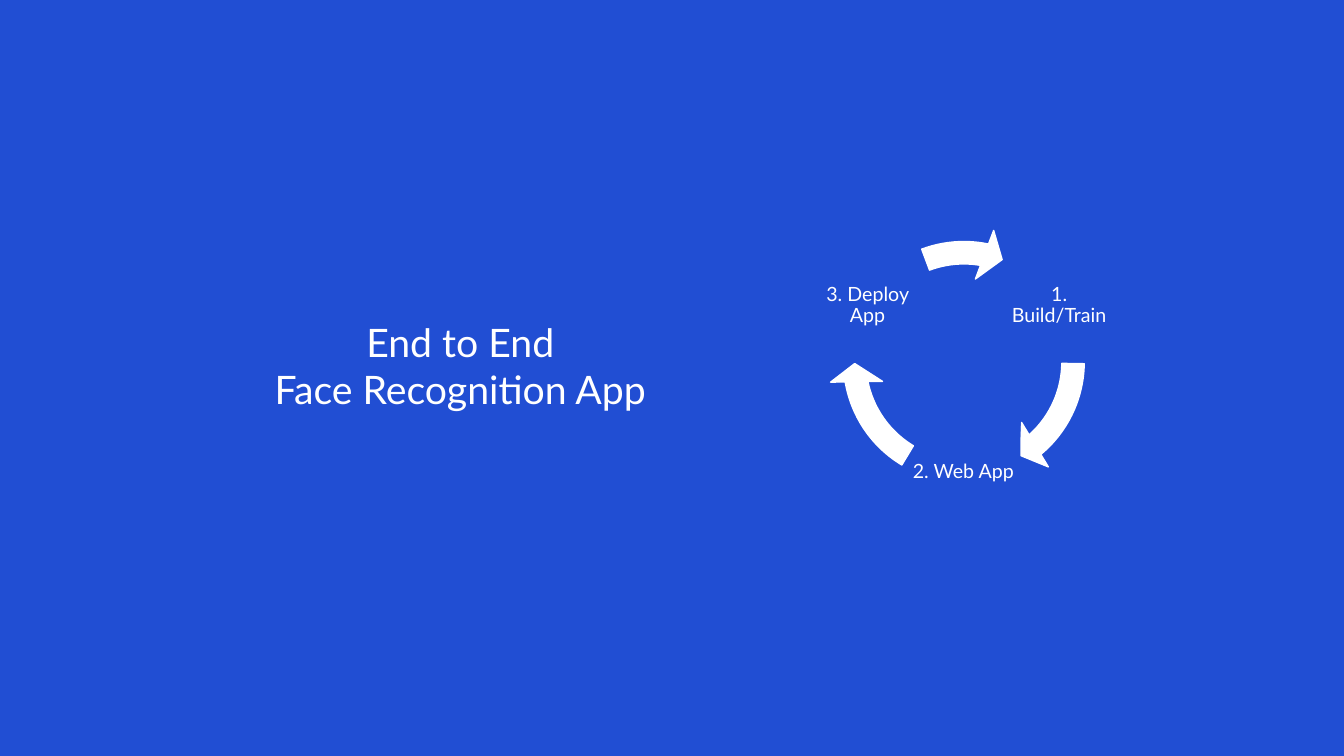
from pptx import Presentation
from pptx import util as u
from pptx.dml.color import RGBColor
from pptx.enum import shapes, text

COLORS = {"blue": "214ED3", "white": "FFFFFF"}
FONT = "Lato"
NODE_SIZE = 1.13
RING_LEFT, RING_TOP, RING_SIZE = 8.22, 2.25, 2.68
STAGES = [
    ("1. Build/Train", 9.94, 2.47, 0.89, 49.36),
    ("2. Web App", 8.99, 4.12, 121.03, 169.5),
    ("3. Deploy App", 8.04, 2.47, 249.48, 280.91),
]


def color(name):
    """Return the named palette colour."""
    return RGBColor.from_string(COLORS[name])


def format_text(frame, size):
    """Centre every paragraph and set its font."""
    for para in frame.paragraphs:
        para.alignment = text.PP_ALIGN.CENTER
        for span in para.runs:
            span.font.name = FONT
            span.font.size = u.Pt(size)
            span.font.color.rgb = color("white")


def add_title(page, wording):
    """Add the slide title as an unwrapped text box."""
    box = page.shapes.add_textbox(u.Inches(2.6), u.Inches(3.11), u.Inches(3.93), u.Inches(1.45))
    box.text_frame.text = wording
    box.text_frame.word_wrap = False
    format_text(box.text_frame, 28)


def add_node(page, label, left, top):
    """Add a square stage label that masks the ring behind it."""
    side = u.Inches(NODE_SIZE)
    node = page.shapes.add_shape(
        shapes.MSO_SHAPE.RECTANGLE, u.Inches(left), u.Inches(top), side, side)
    node.shadow.inherit = False
    node.fill.solid()
    node.fill.fore_color.rgb = color("blue")
    node.line.fill.background()
    frame = node.text_frame
    frame.text = label
    frame.word_wrap = True
    frame.vertical_anchor = text.MSO_ANCHOR.MIDDLE
    frame.margin_left = frame.margin_right = u.Inches(0.02)
    frame.margin_top = frame.margin_bottom = u.Inches(0.02)
    frame.paragraphs[0].line_spacing = 0.9
    format_text(frame, 14)


def add_arrow(page, start, end):
    """Add a ring arrow between two angles in degrees."""
    side = u.Inches(RING_SIZE)
    arrow = page.shapes.add_shape(
        shapes.MSO_SHAPE.CIRCULAR_ARROW, u.Inches(RING_LEFT), u.Inches(RING_TOP), side, side)
    arrow.shadow.inherit = False
    head_angle = 9.61
    values = [0.083, head_angle * 0.6, end * 0.6, start * 0.6, 0.096]
    for index, value in enumerate(values):
        arrow.adjustments[index] = value
    arrow.fill.solid()
    arrow.fill.fore_color.rgb = color("white")
    arrow.line.color.rgb = color("white")
    arrow.line.width = u.Pt(1)


def main():
    """Build the slide and save the deck."""
    deck = Presentation()
    deck.slide_width, deck.slide_height = u.Inches(13.33), u.Inches(7.5)
    page = deck.slides.add_slide(deck.slide_layouts[6])
    page.background.fill.solid()
    page.background.fill.fore_color.rgb = color("blue")
    add_title(page, "End to End\nFace Recognition App")
    for label, left, top, start, end in STAGES:
        add_node(page, label, left, top)
        add_arrow(page, start, end)
    deck.save("out.pptx")


if __name__ == "__main__":
    main()
